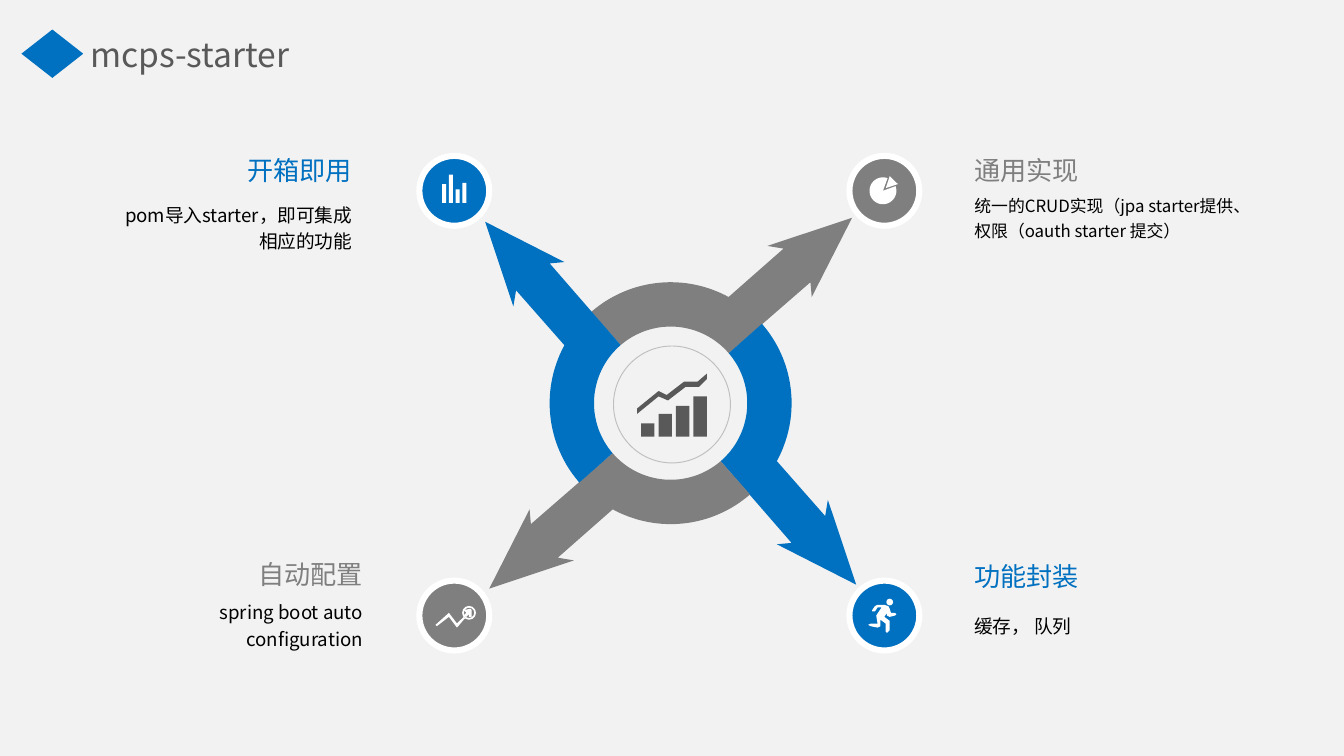
from dataclasses import dataclass
from math import cos, radians, sin

from pptx import Presentation
from pptx import util as u
from pptx.dml.color import RGBColor
from pptx.enum import shapes as es, text as et
from pptx.oxml.ns import qn

HUES = {"back": "F2F2F2", "blue": "0070C0", "gray": "7F7F7F", "dark": "595959",
        "white": "FFFFFF", "black": "000000", "rim": "BFBFBF"}
FONT = "Noto Sans CJK SC"
OVAL, RECT = es.MSO_SHAPE.OVAL, es.MSO_SHAPE.RECTANGLE
LEFT, RIGHT = et.PP_ALIGN.LEFT, et.PP_ALIGN.RIGHT
WIDE = 10
HUB = (4.99, 3.0)
Points = list[tuple[float, float]]


@dataclass
class Box:
    x: float
    y: float
    w: float
    h: float


@dataclass
class Topic:
    hue: str
    spot: tuple[float, float]
    head: str
    top: Box
    note: str
    body: Box
    size: int
    inset: float
    align: et.PP_ALIGN


TOPICS = [
    Topic("blue", (3.38, 1.42), "开箱即用", Box(1.21, 1.14, 1.89, 0.25),
          "pom导入starter，即可集成相应的功能", Box(0.86, 1.39, 2.24, 0.58), 10, 0.48, RIGHT),
    Topic("gray", (6.58, 1.42), "通用实现", Box(6.86, 1.14, 2.39, 0.25),
          "统一的CRUD实现（jpa starter提供、权限（oauth starter 提交）",
          Box(6.86, 1.38, 2.39, 0.46), 9, 0.39, LEFT),
    Topic("gray", (3.38, 4.58), "自动配置", Box(1.21, 4.15, 1.89, 0.25),
          "spring boot auto configuration", Box(1.21, 4.41, 1.89, 0.46), 10, 0.4, RIGHT),
    Topic("blue", (6.58, 4.58), "功能封装", Box(6.86, 4.16, 2.39, 0.25),
          "缓存， 队列", Box(6.86, 4.41, 2.39, 0.46), 10, 0.39, LEFT),
]

TREND = [(5.19, 2.84), (5.09, 2.84), (4.96, 2.94), (4.9, 2.91), (4.74, 3.04), (4.74, 3.08),
         (4.9, 2.95), (4.97, 2.98), (5.1, 2.88), (5.2, 2.88), (5.26, 2.82), (5.26, 2.78)]
ZIGZAG = [(3.45, 4.59), (3.4, 4.64), (3.34, 4.56), (3.24, 4.65), (3.25, 4.66),
          (3.34, 4.59), (3.4, 4.67), (3.46, 4.6)]
DART = [(3.45, 4.54), (3.5, 4.53), (3.51, 4.54), (3.51, 4.59), (3.49, 4.59), (3.49, 4.57),
        (3.47, 4.59), (3.45, 4.58), (3.47, 4.56)]
RUNNER = [(6.6, 4.58), (6.62, 4.59), (6.66, 4.58), (6.67, 4.57), (6.66, 4.56), (6.63, 4.56),
          (6.62, 4.53), (6.61, 4.51), (6.58, 4.5), (6.53, 4.5), (6.51, 4.51), (6.49, 4.54),
          (6.49, 4.55), (6.51, 4.55), (6.53, 4.52), (6.56, 4.52), (6.52, 4.58), (6.53, 4.64),
          (6.48, 4.64), (6.46, 4.65), (6.48, 4.66), (6.53, 4.67), (6.55, 4.66), (6.55, 4.61),
          (6.59, 4.64), (6.59, 4.7), (6.6, 4.71), (6.62, 4.69), (6.62, 4.62), (6.58, 4.59),
          (6.6, 4.56)]


def style(shape, hue: str | None, rim: str | None = None, width: float = 0) -> None:
    shape.shadow.inherit = False
    if hue:
        shape.fill.solid()
        shape.fill.fore_color.rgb = RGBColor.from_string(HUES[hue])
    else:
        shape.fill.background()
    if rim:
        shape.line.color.rgb = RGBColor.from_string(HUES[rim])
        shape.line.width = u.Pt(width)
    else:
        shape.line.fill.background()


def place(shape, box: Box) -> None:
    for name, value in {"left": box.x, "top": box.y, "width": box.w, "height": box.h}.items():
        setattr(shape, name, u.Inches(value))


def add(slide, kind, box: Box, hue, rim=None, width: float = 0) -> None:
    shape = slide.shapes.add_shape(kind, *map(u.Inches, (box.x, box.y, box.w, box.h)))
    style(shape, hue, rim, width)


def disc(slide, mid, size: float, hue, rim=None, width: float = 0) -> None:
    add(slide, OVAL, Box(mid[0] - size / 2, mid[1] - size / 2, size, size), hue, rim, width)


def bars(slide, left: float, step: float, width: float, base: float,
         highs: list[float], hue: str) -> None:
    for i, high in enumerate(highs):
        add(slide, RECT, Box(left + i * step, base - high, width, high), hue)


def form(slide, points: Points, hue: str) -> None:
    spots = [(u.Inches(x), u.Inches(y)) for x, y in points]
    maker = slide.shapes.build_freeform(*spots[0])
    maker.add_line_segments(spots[1:], close=True)
    style(maker.convert_to_shape(), hue)


def arc(mid, size: float, start: float, end: float, steps: int = 40) -> Points:
    turns = [radians(start + (end - start) * i / steps) for i in range(steps + 1)]
    return [(mid[0] + size * cos(t), mid[1] - size * sin(t)) for t in turns]


def arrows(slide) -> None:
    points = ([(1.35, -1.38), (0.72, -1.17), (0.84, -1.15)]
              + arc((0, 0), 0.9, 61.4, 131) + arc((0, 0), 0.57, 130.7, 40.7)
              + [(1.04, -0.9), (1.05, -0.79)])
    for hue in ("gray", "blue", "gray", "blue"):
        form(slide, [(HUB[0] + x, HUB[1] + y) for x, y in points], hue)
        points = [(-y, x) for x, y in points]


def write(shape, words: str, size: float, hue: str, align, gap: float = 1.0,
          left: float = 0, right: float = 0) -> None:
    frame = shape.text_frame
    looks = {"word_wrap": True, "auto_size": et.MSO_AUTO_SIZE.NONE,
             "vertical_anchor": et.MSO_ANCHOR.MIDDLE, "margin_left": u.Inches(left),
             "margin_right": u.Inches(right), "margin_top": 0, "margin_bottom": 0}
    for name, value in looks.items():
        setattr(frame, name, value)
    para = frame.paragraphs[0]
    para.alignment, para.line_spacing = align, gap
    run = para.add_run()
    run.text = words
    for name, value in {"size": u.Pt(size), "name": FONT}.items():
        setattr(run.font, name, value)
    run.font.color.rgb = RGBColor.from_string(HUES[hue])
    east = run._r.get_or_add_rPr().makeelement(qn("a:ea"), {"typeface": FONT})
    run._r.rPr.find(qn("a:latin")).addnext(east)


def label(slide, topic: Topic) -> None:
    side = "left" if topic.align == LEFT else "right"
    for box, words, size, hue, gap in (
            (topic.top, topic.head, 14, topic.hue, 1.0),
            (topic.body, topic.note, topic.size, "black", 1.2)):
        shape = slide.shapes.add_textbox(0, 0, 0, 0)
        place(shape, box)
        write(shape, words, size, hue, topic.align, gap, **{side: topic.inset})


def icons(slide) -> None:
    bars(slide, 3.29, 0.05, 0.03, 1.51, [0.14, 0.21, 0.1, 0.15], "white")
    pie = (6.57, 1.42)
    form(slide, [pie] + arc(pie, 0.1, 70, 380), "white")
    form(slide, [(6.62, 1.31), (6.68, 1.37), (6.59, 1.4)], "white")
    form(slide, ZIGZAG, "white")
    disc(slide, (3.49, 4.56), 0.09, None, "white", 0.9)
    form(slide, DART, "white")
    disc(slide, (6.62, 4.48), 0.05, "white")
    form(slide, RUNNER, "white")


def main() -> None:
    deck = Presentation()
    deck.slide_width, deck.slide_height = u.Inches(WIDE), u.Inches(WIDE * 9 / 16)
    slide = deck.slides.add_slide(deck.slide_layouts[5])
    slide.background.fill.solid()
    slide.background.fill.fore_color.rgb = RGBColor.from_string(HUES["back"])
    place(slide.shapes.title, Box(0.67, 0.19, 2.33, 0.42))
    write(slide.shapes.title, "mcps-starter", 18, "dark", LEFT)
    add(slide, es.MSO_SHAPE.DIAMOND, Box(0.16, 0.22, 0.46, 0.36), "blue")
    arrows(slide)
    for topic in TOPICS:
        disc(slide, topic.spot, 0.52, topic.hue, "white", 3.25)
        label(slide, topic)
    icons(slide)
    disc(slide, (5, 3.01), 0.87, "back", "rim", 0.5)
    bars(slide, 4.77, 0.13, 0.1, 3.25, [0.1, 0.17, 0.23, 0.3], "dark")
    form(slide, TREND, "dark")
    deck.save("out.pptx")


if __name__ == "__main__":
    main()
